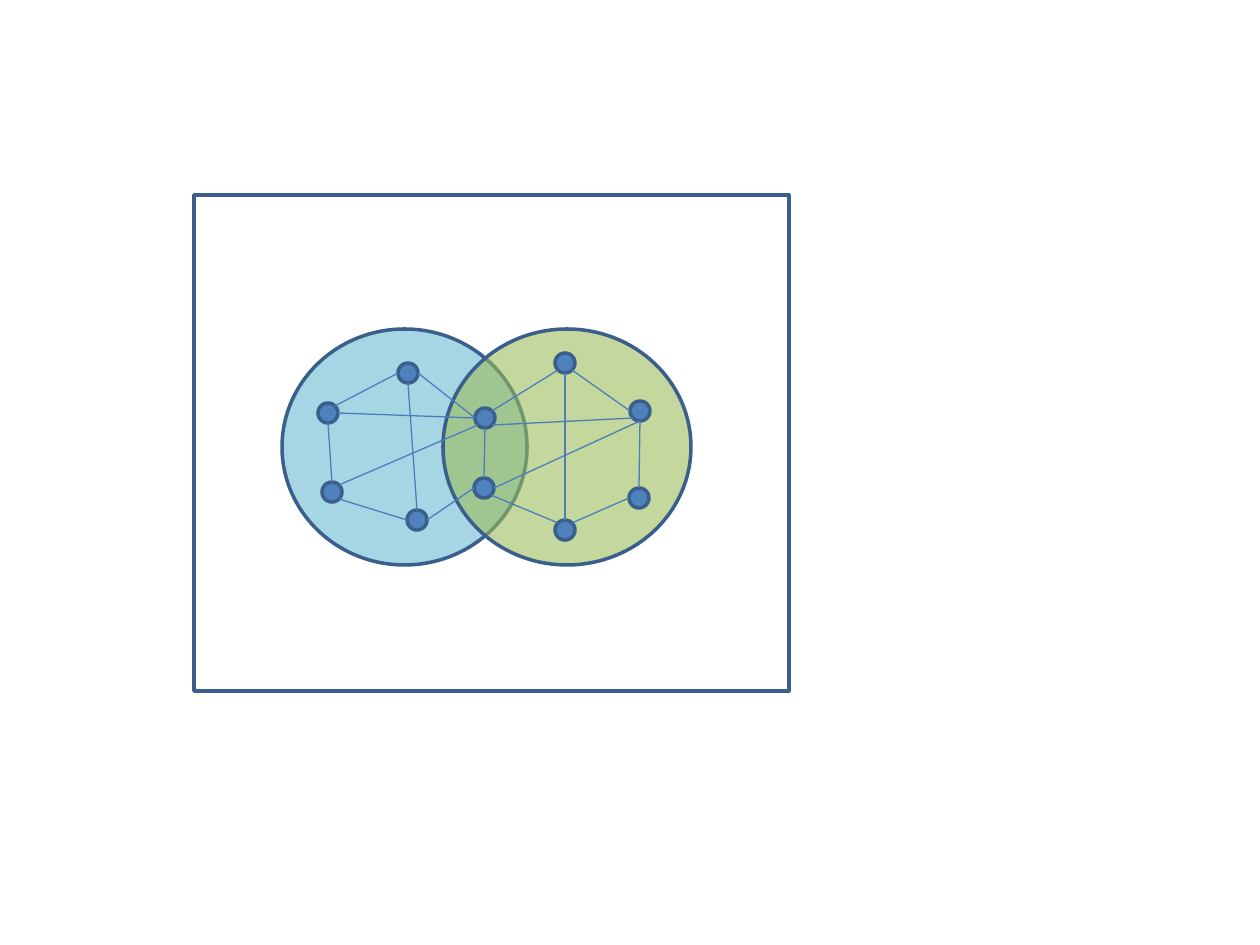
from math import sqrt

from lxml import etree
from pptx import Presentation
from pptx import util as u
from pptx.dml.color import RGBColor
from pptx.enum import shapes
from pptx.oxml.ns import qn

PX = u.Inches(1) / 126
OUTLINE, NODE, LINK = "3A5F8C", "4F81BD", "4B7EBC"
NODE_SIZE = 20


def px(n):
    return u.Emu(round(n * PX))


def rgb(value):
    return RGBColor.from_string(value)


class Canvas:
    def __init__(self, slide):
        self.s = slide

    def shape(self, kind, x, y, w, h, fill=None, opacity=100):
        sp = self.s.shapes.add_shape(kind, px(x), px(y), px(w), px(h))
        sp.shadow.inherit = False
        sp.line.color.rgb = rgb(OUTLINE)
        sp.line.width = u.Pt(2)
        if fill is None:
            sp.fill.background()
            return
        sp.fill.solid()
        sp.fill.fore_color.rgb = rgb(fill)
        if opacity < 100:
            clr = sp.fill._xPr.find(".//" + qn("a:srgbClr"))
            etree.SubElement(clr, qn("a:alpha"), val=str(opacity * 1000))

    def ellipse(self, *args):
        self.shape(shapes.MSO_SHAPE.OVAL, *args)

    def rect(self, *args):
        self.shape(shapes.MSO_SHAPE.RECTANGLE, *args)

    def node(self, center):
        x, y = center
        r = NODE_SIZE / 2
        self.ellipse(x - r, y - r, NODE_SIZE, NODE_SIZE, NODE)

    def link(self, start, end):
        points = [px(n) for n in (*start, *end)]
        cx = self.s.shapes.add_connector(shapes.MSO_CONNECTOR.STRAIGHT, *points)
        cx.line.color.rgb = rgb(LINK)
        cx.line.width = u.Pt(0.75)
        etree.SubElement(cx._element.spPr, qn("a:effectLst"))


def rim(center, side):
    dx = ("E" in side) - ("W" in side)
    dy = ("S" in side) - ("N" in side)
    r = NODE_SIZE / 2 / sqrt(len(side))
    return center[0] + dx * r, center[1] + dy * r


prs = Presentation()
prs.slide_width, prs.slide_height = u.Inches(10), u.Inches(7.5)
c = Canvas(prs.slides.add_slide(prs.slide_layouts[6]))

c.ellipse(282, 329, 245, 236, "4BACC6", 49)
c.rect(194, 195, 595, 496)
c.ellipse(443, 329, 248, 236, "9BBB59", 59)

nodes = {
    "left_top": (408, 373),
    "left_upper": (328, 413),
    "left_lower": (332, 492),
    "left_bottom": (417, 520),
    "shared_upper": (485, 418),
    "shared_lower": (484, 488),
    "right_top": (565, 363),
    "right_upper": (640, 411),
    "right_lower": (639, 498),
    "right_bottom": (565, 530),
}
for center in nodes.values():
    c.node(center)

links = [
    ("left_upper", "NE", "left_top", "W"),
    ("left_top", "E", "shared_upper", "W"),
    ("left_upper", "S", "left_lower", "N"),
    ("left_lower", "SE", "left_bottom", "W"),
    ("left_bottom", "E", "shared_lower", "W"),
    ("left_upper", "E", "shared_upper", "W"),
    ("shared_upper", "S", "shared_lower", "N"),
    ("left_lower", "NE", "shared_upper", "SW"),
    ("left_bottom", "N", "left_top", "S"),
    ("shared_upper", "NE", "right_top", "SW"),
    ("shared_lower", "SE", "right_bottom", "NW"),
    ("right_top", "SE", "right_upper", "W"),
    ("right_upper", "S", "right_lower", "N"),
    ("right_bottom", "NE", "right_lower", "W"),
    ("right_top", "S", "right_bottom", "N"),
    ("shared_lower", "E", "right_upper", "S"),
    ("shared_upper", "SE", "right_upper", "SW"),
]
for a, side_a, b, side_b in links:
    c.link(rim(nodes[a], side_a), rim(nodes[b], side_b))

prs.save("out.pptx")
